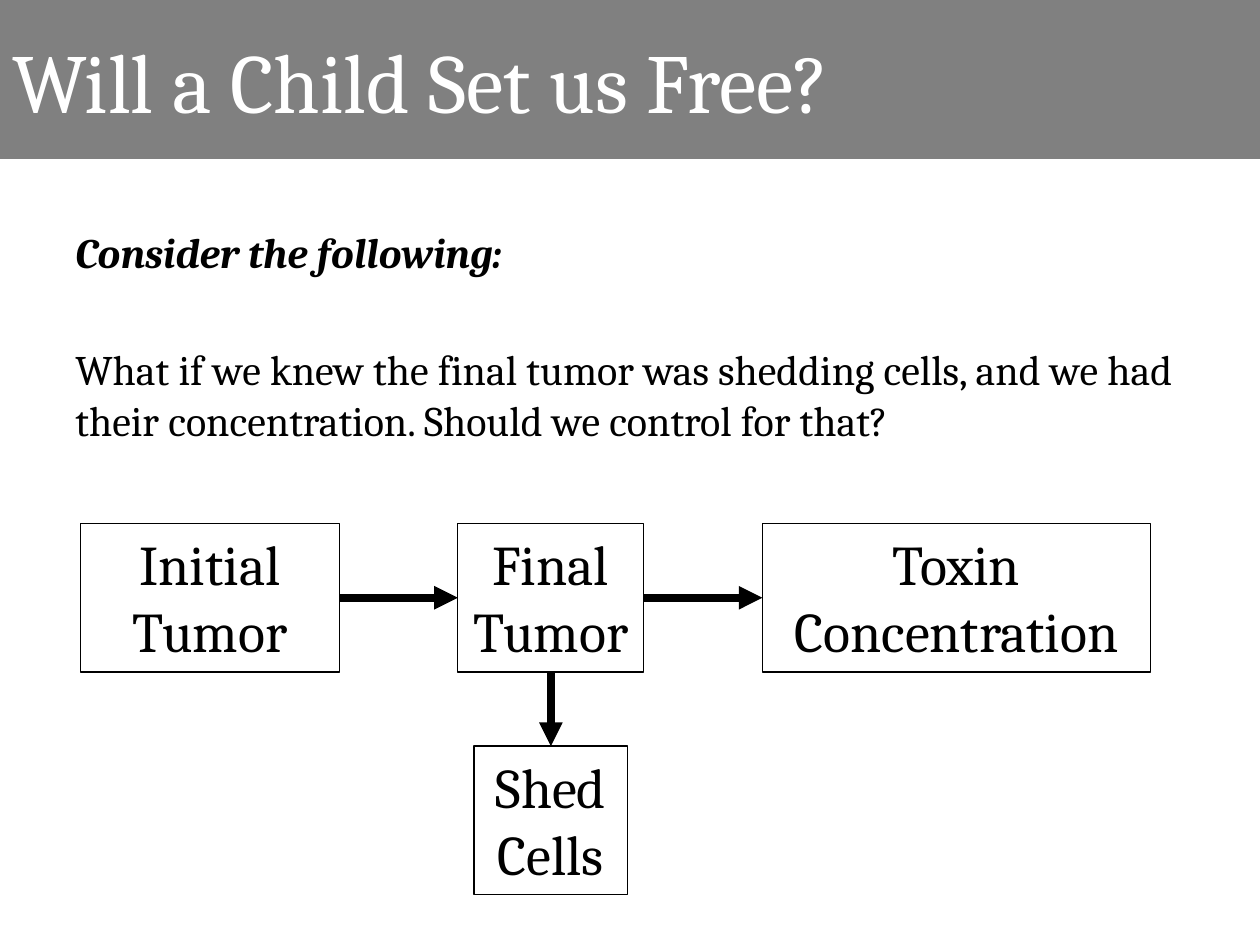
"""Builds a slide with a causal diagram of tumor, toxin and shed cells."""
from dataclasses import dataclass
from typing import Optional

from lxml import etree
from pptx import Presentation
from pptx import util as u
from pptx.dml.color import RGBColor
from pptx.enum import shapes, text
from pptx.oxml import ns


@dataclass(frozen=True)
class Theme:
    font: str = "Cambria"
    band: RGBColor = RGBColor(0x80, 0x80, 0x80)
    paper: RGBColor = RGBColor(0xFF, 0xFF, 0xFF)
    ink: RGBColor = RGBColor(0, 0, 0)
    title_size: float = 48
    body_size: float = 24
    node_size: float = 32
    border: float = 0.75
    arrow: float = 4.5


@dataclass(frozen=True)
class Node:
    label: str
    left: float
    top: float
    width: float
    wrap: bool = False


THEME = Theme()
SLIDE_WIDTH, SLIDE_HEIGHT = 25.4, 19.05
NODE_HEIGHT = 3
ROW_TOP, ROW_LEFT, ROW_GAP = 10.55, 1.63, 2.39
SHED_TOP, SHED_WIDTH = 15.04, 3.1
ROW = (("Initial Tumor", 5.21, True), ("Final\nTumor", 3.75, False),
       ("Toxin\nConcentration", 7.83, False))
TOP, LEFT, BOTTOM, RIGHT = range(4)


def write(frame, content: str, *, size: float, color: RGBColor = THEME.ink,
          align=text.PP_ALIGN.LEFT, anchor=text.MSO_ANCHOR.TOP,
          wrap: bool = True, lead_bold_italic: bool = False,
          before: tuple = ()) -> None:
    """Fill a text frame with one paragraph per line of content."""
    frame.word_wrap = wrap
    frame.vertical_anchor = anchor
    for index, line in enumerate(content.split("\n")):
        para = frame.add_paragraph() if index else frame.paragraphs[0]
        para.alignment = align
        if before:
            para.space_before = u.Pt(before[index])
        span = para.add_run()
        span.text = line
        span.font.name = THEME.font
        span.font.size = u.Pt(size)
        span.font.color.rgb = color
        span.font.bold = span.font.italic = lead_bold_italic and index == 0


def add_box(page, left: float, top: float, width: float, height: float,
            *, line: RGBColor, fill: Optional[RGBColor] = None):
    """Add a flat rectangle measured in centimetres."""
    box = page.shapes.add_shape(
        shapes.MSO_SHAPE.RECTANGLE,
        u.Cm(left), u.Cm(top), u.Cm(width), u.Cm(height))
    box.shadow.inherit = False
    if fill is None:
        box.fill.background()
    else:
        box.fill.solid()
        box.fill.fore_color.rgb = fill
    box.line.color.rgb = line
    box.line.width = u.Pt(THEME.border)
    return box


def add_node(page, node: Node):
    """Add one labelled box of the diagram."""
    box = add_box(page, node.left, node.top, node.width, NODE_HEIGHT,
                  line=THEME.ink)
    write(box.text_frame, node.label, size=THEME.node_size,
          align=text.PP_ALIGN.CENTER, wrap=node.wrap)
    return box


def add_arrow(page, start, start_side: int, end, end_side: int) -> None:
    """Join two boxes with a thick arrow."""
    arrow = page.shapes.add_connector(
        shapes.MSO_CONNECTOR.STRAIGHT, 0, 0, 0, 0)
    arrow.begin_connect(start, start_side)
    arrow.end_connect(end, end_side)
    arrow.line.color.rgb = THEME.ink
    arrow.line.width = u.Pt(THEME.arrow)
    etree.SubElement(arrow.line._get_or_add_ln(), ns.qn("a:tailEnd"),
                     type="triangle")
    etree.SubElement(arrow._element.spPr, ns.qn("a:effectLst"))


def add_diagram(page) -> None:
    """Draw the row of causes and the shed cells below the final tumor."""
    nodes, left = [], ROW_LEFT
    for label, width, wrap in ROW:
        nodes.append(Node(label, left, ROW_TOP, width, wrap))
        left += width + ROW_GAP
    middle = nodes[1]
    shed_left = middle.left + (middle.width - SHED_WIDTH) / 2
    nodes.append(Node("Shed\nCells", shed_left, SHED_TOP, SHED_WIDTH))
    initial, final, toxin, shed = [add_node(page, node) for node in nodes]
    add_arrow(page, initial, RIGHT, final, LEFT)
    add_arrow(page, final, RIGHT, toxin, LEFT)
    add_arrow(page, final, BOTTOM, shed, TOP)


def main() -> None:
    """Build and save the deck."""
    deck = Presentation()
    deck.slide_width, deck.slide_height = u.Cm(SLIDE_WIDTH), u.Cm(SLIDE_HEIGHT)
    page = deck.slides.add_slide(deck.slide_layouts[6])
    title = add_box(page, 0, 0.02, SLIDE_WIDTH, 3.18,
                    line=THEME.band, fill=THEME.band)
    write(title.text_frame, "Will a Child Set us Free?",
          size=THEME.title_size, color=THEME.paper,
          anchor=text.MSO_ANCHOR.MIDDLE)
    body = page.shapes.add_textbox(
        u.Cm(1.27), u.Cm(4.45), u.Cm(22.86), u.Cm(12.57))
    write(body.text_frame,
          "Consider the following:\n"
          "What if we knew the final tumor was shedding cells, and we had "
          "their concentration. Should we control for that?",
          size=THEME.body_size, lead_bold_italic=True, before=(4.8, 38))
    add_diagram(page)
    deck.save("out.pptx")


if __name__ == "__main__":
    main()
